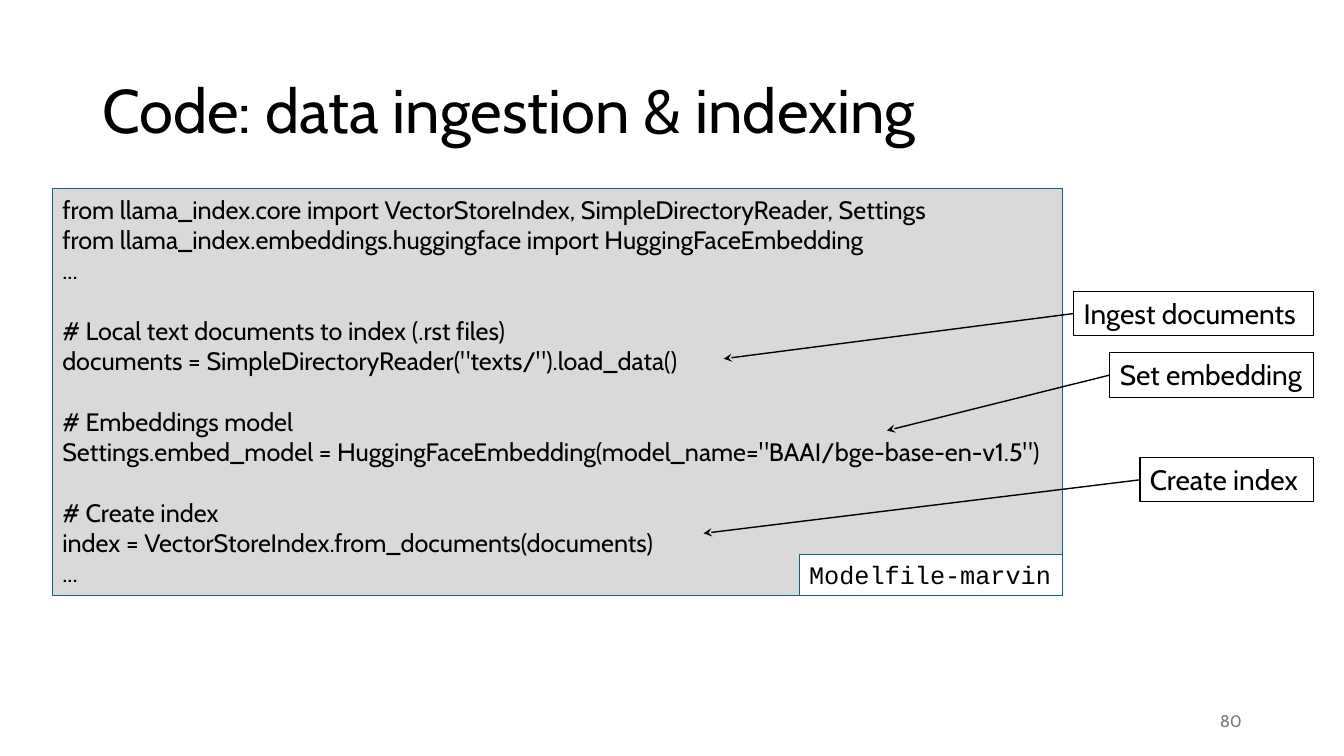
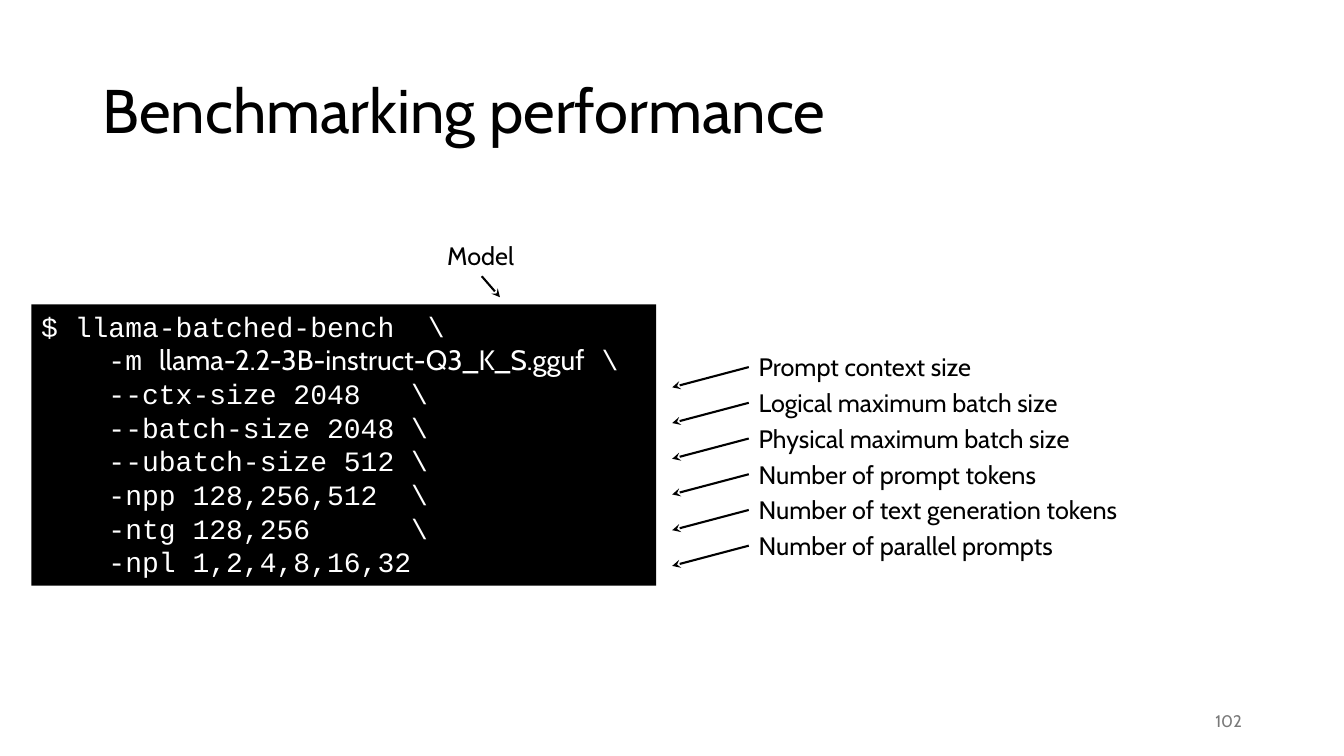
from lxml import etree
from pptx import Presentation
from pptx import util as u
from pptx.dml.color import RGBColor
from pptx.enum import shapes, text
from pptx.oxml import ns

COLORS = {"black": "000000", "white": "FFFFFF", "code": "D9D9D9",
          "border": "156082", "number": "797979"}
SANS, MONO = "Cabin", "Courier New"


def add_box(slide, bounds, content, size, font=SANS, color="black", fill=None,
            line=None, wrap=False, anchor=text.MSO_ANCHOR.TOP):
    """Add a text box, or a rectangle when it has a fill or a line."""
    bounds = [u.Cm(length) for length in bounds]
    if fill or line:
        shape = slide.shapes.add_shape(shapes.MSO_SHAPE.RECTANGLE, *bounds)
        shape.shadow.inherit = False
    else:
        shape = slide.shapes.add_textbox(*bounds)
    if fill:
        shape.fill.solid()
        shape.fill.fore_color.rgb = RGBColor.from_string(COLORS[fill])
    else:
        shape.fill.background()
    if line:
        shape.line.color.rgb = RGBColor.from_string(COLORS[line])
        shape.line.width = u.Pt(0.75)
    else:
        shape.line.fill.background()
    frame = shape.text_frame
    frame.text = content
    frame.word_wrap = wrap
    frame.vertical_anchor = anchor
    if anchor == text.MSO_ANCHOR.TOP:
        frame.auto_size = text.MSO_AUTO_SIZE.SHAPE_TO_FIT_TEXT
    for paragraph in frame.paragraphs:
        paragraph.alignment = text.PP_ALIGN.LEFT
        paragraph.font.name = font
        paragraph.font.size = u.Pt(size)
        paragraph.font.color.rgb = RGBColor.from_string(COLORS[color])
    return shape


def add_arrow(slide, shape, side, tip, width):
    """Point from the middle of a side of a shape to a tip."""
    x, y = (u.Cm(length) for length in tip)
    arrow = slide.shapes.add_connector(shapes.MSO_CONNECTOR.STRAIGHT, x, y, x, y)
    arrow.begin_connect(shape, side)
    arrow.line.color.rgb = RGBColor.from_string(COLORS["black"])
    arrow.line.width = u.Pt(width)
    etree.SubElement(arrow.line._get_or_add_ln(), ns.qn("a:tailEnd"), type="stealth")
    etree.SubElement(arrow._element.spPr, ns.qn("a:effectLst"))


presentation = Presentation()
presentation.slide_width, presentation.slide_height = u.Cm(33.87), u.Cm(19.05)

# Titles and slide numbers
slides = []
for title, number in [("Code: data ingestion & indexing", "80"),
                      ("Benchmarking performance", "102")]:
    slide = presentation.slides.add_slide(presentation.slide_layouts[6])
    heading = add_box(slide, (2.33, 1.02, 29.21, 3.68), title, 44, wrap=True,
                      anchor=text.MSO_ANCHOR.MIDDLE)
    heading.text_frame.paragraphs[0].line_spacing = 0.9
    footer = add_box(slide, (23.93, 17.65, 7.62, 1.02), number, 12, color="number",
                     wrap=True, anchor=text.MSO_ANCHOR.MIDDLE)
    footer.text_frame.paragraphs[0].alignment = text.PP_ALIGN.RIGHT
    slides.append(slide)
indexing, benchmark = slides

# Indexing code, with a gap of one line above each comment
code = """from llama_index.core import VectorStoreIndex, SimpleDirectoryReader, Settings
from llama_index.embeddings.huggingface import HuggingFaceEmbedding
...
# Local text documents to index (.rst files)
documents = SimpleDirectoryReader("texts/").load_data()
# Embeddings model
Settings.embed_model = HuggingFaceEmbedding(model_name="BAAI/bge-base-en-v1.5")
# Create index
index = VectorStoreIndex.from_documents(documents)
..."""
listing = add_box(indexing, (1.32, 4.76, 25.45, 10.25), code, 18,
                  fill="code", line="border")
for paragraph in listing.text_frame.paragraphs:
    if paragraph.text.startswith("#"):
        paragraph.space_before = u.Pt(21.8)
add_box(indexing, (20.14, 13.98, 6.63, 1.03), "Modelfile-marvin", 18, font=MONO,
        fill="white", line="border")

# Callouts, aligned on their right edge
CALLOUT_RIGHT = 33.1
for label, top, width, tip in [("Ingest documents", 7.34, 6.04, (18.24, 9.04)),
                               ("Set embedding", 8.89, 5.13, (22.35, 10.85)),
                               ("Create index", 11.53, 4.37, (17.73, 13.44))]:
    callout = add_box(indexing, (CALLOUT_RIGHT - width, top, width, 1.12), label, 20,
                      line="black")
    add_arrow(indexing, callout, 1, tip, 1)

# Benchmark command
command = r"""$ llama-batched-bench  \
    -m 
    --ctx-size 2048   \
    --batch-size 2048 \
    --ubatch-size 512 \
    -npp 128,256,512  \
    -ntg 128,256      \
    -npl 1,2,4,8,16,32"""
terminal = add_box(benchmark, (0.79, 7.67, 15.75, 7.09), command, 20, font=MONO,
                   color="white", fill="black", wrap=True)
model_line = terminal.text_frame.paragraphs[1]
model_file = model_line.add_run()
model_file.text = "llama-2.2-3B-instruct-Q3_K_S.gguf"
model_file.font.name = SANS
model_line.add_run().text = " \\"

# Notes on the options
model_note = add_box(benchmark, (11.02, 5.94, 2.24, 1.02), "Model", 18)
add_arrow(benchmark, model_note, 2, (12.6, 7.49), 1.5)
option_notes = [("Prompt context size", 5.94), ("Logical maximum batch size", 8.33),
                ("Physical maximum batch size", 8.66), ("Number of prompt tokens", 7.59),
                ("Number of text generation tokens", 9.65),
                ("Number of parallel prompts", 8.13)]
for row, (label, width) in enumerate(option_notes):
    top = 8.74 + 0.9 * row
    note = add_box(benchmark, (18.87, top, width, 1.02), label, 18)
    add_arrow(benchmark, note, 1, (16.94, top + 1.02), 1.5)

presentation.save("out.pptx")
